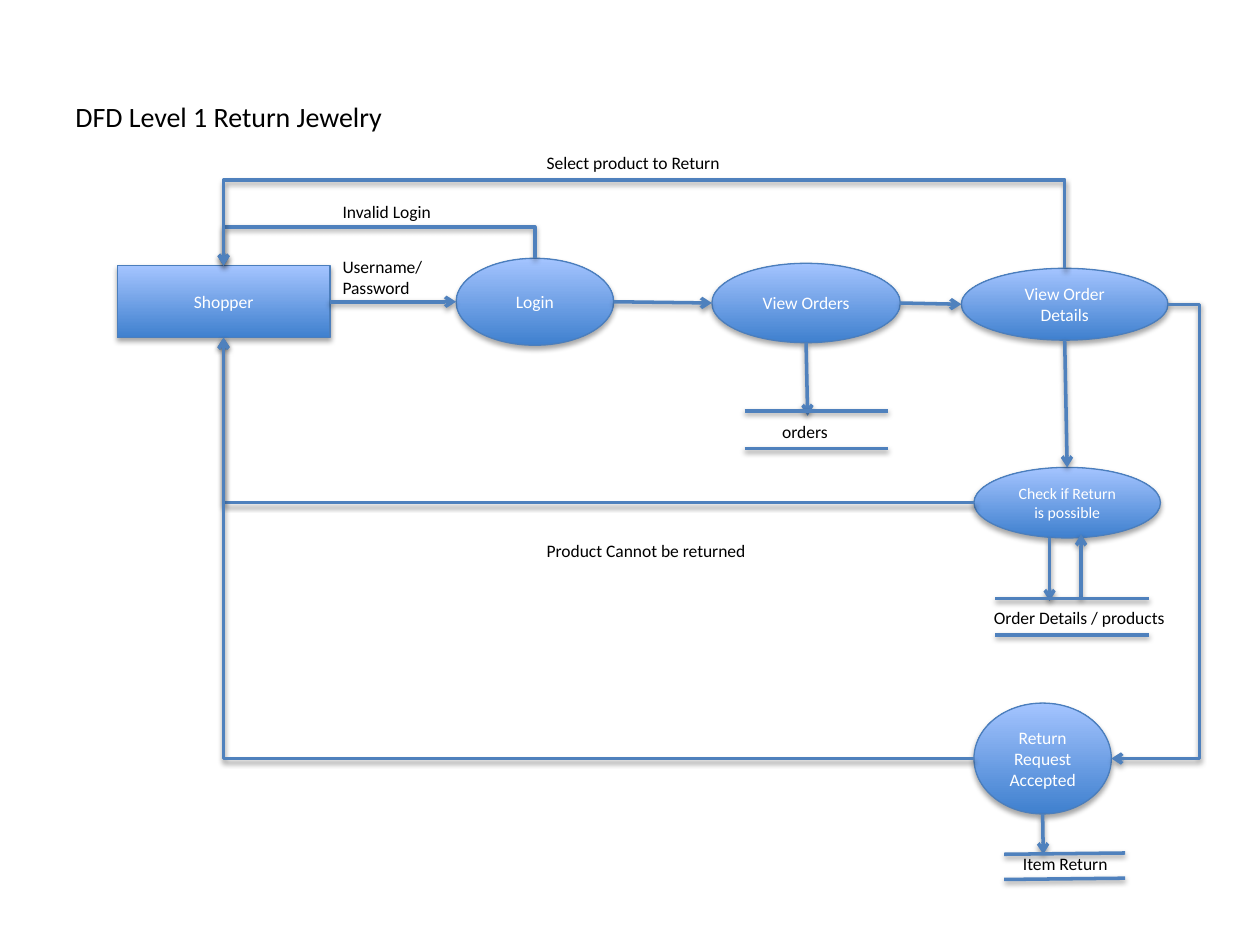
from dataclasses import dataclass
from typing import NamedTuple

from lxml import etree
from pptx import Presentation
from pptx import util as u
from pptx.dml.color import RGBColor
from pptx.enum import shapes, text
from pptx.oxml.ns import qn

COLUMNS, ROWS = 100, 75


@dataclass(frozen=True)
class Theme:
    font: str = "Calibri"
    ink: str = "000000"
    light: str = "FFFFFF"
    flow: str = "4F81BD"
    outline: str = "4B7EBC"
    gradient: tuple[str, str] = ("3F80CE", "A4C4FF")
    title_size: float = 16
    body_size: float = 10
    small_size: float = 9
    flow_width: float = 2
    outline_width: float = 0.75


class Point(NamedTuple):
    x: float
    y: float


@dataclass(frozen=True)
class Node:
    """A process or entity, in grid columns and rows."""
    label: str
    left: float
    top: float
    width: float
    height: float
    kind: shapes.MSO_SHAPE = shapes.MSO_SHAPE.OVAL
    size: float = Theme.body_size

    def at(self, across: float, down: float) -> Point:
        return Point(self.left + across * self.width, self.top + down * self.height)

    @property
    def north(self) -> Point:
        return self.at(0.5, 0)

    @property
    def west(self) -> Point:
        return self.at(0, 0.5)

    @property
    def south(self) -> Point:
        return self.at(0.5, 1)

    @property
    def east(self) -> Point:
        return self.at(1, 0.5)


class Store(NamedTuple):
    """A data store: two parallel rules; rise lifts their right ends."""
    left: float
    top: float
    width: float
    gap: float
    rise: float = 0


class Label(NamedTuple):
    words: str
    left: float
    top: float
    width: float
    height: float = 2.7


THEME = Theme()
SHOPPER = Node("Shopper", 9.3, 21.1, 16.9, 5.7, shapes.MSO_SHAPE.RECTANGLE)
LOGIN = Node("Login", 36.2, 20.5, 12.5, 6.9)
VIEW_ORDERS = Node("View Orders", 56.5, 20.9, 14.95, 6.3)
VIEW_DETAILS = Node("View Order Details", 76.3, 21.3, 16.4, 5.7)
CHECK = Node("Check if Return is possible", 77.3, 37.1, 14.8, 5.6, size=THEME.small_size)
ACCEPTED = Node("Return Request Accepted", 77.3, 55.8, 10.9, 8.8)
NODES = [SHOPPER, LOGIN, VIEW_ORDERS, VIEW_DETAILS, CHECK, ACCEPTED]

STORES = [
    Store(59.1, 32.6, 11.4, 3),
    Store(79, 47.5, 12.2, 2.9),
    Store(79.7, 67.8, 9.6, 2, rise=0.1),
]
LABELS = [
    Label("Username/\nPassword", 26.2, 19.8, 8.5, 4.4),
    Label("Invalid Login", 26.2, 15.5, 9.2),
    Label("orders", 61.1, 32.9, 5.7),
    Label("Select product to Return", 42.4, 11.6, 16),
    Label("Order Details / products", 77.9, 47.7, 15.8),
    Label("Product Cannot be returned", 42.4, 42.4, 18.1),
    Label("Item Return", 80.2, 67.2, 8.9),
]
ARROWS = [
    (LOGIN.east, VIEW_ORDERS.west),
    (VIEW_ORDERS.east, VIEW_DETAILS.west),
    (VIEW_ORDERS.south, Point(64.1, 33)),
    (VIEW_DETAILS.south, CHECK.north),
    (Point(83.3, 42.7), Point(83.3, 47.7)),
    (Point(85.8, 47.5), Point(85.8, 42.4)),
    (ACCEPTED.south, Point(82.8, 67.8)),
]

presentation = Presentation()
presentation.slide_width, presentation.slide_height = u.Inches(10), u.Inches(7.5)
slide = presentation.slides.add_slide(presentation.slide_layouts[6])


def col(count: float) -> u.Emu:
    return u.Emu(round(presentation.slide_width * count / COLUMNS))


def row(count: float) -> u.Emu:
    return u.Emu(round(presentation.slide_height * count / ROWS))


def write(shape, words: str, *, size: float = THEME.body_size, color: str = THEME.ink,
          align=text.PP_ALIGN.LEFT, anchor=text.MSO_ANCHOR.TOP, wrap: bool = True) -> None:
    frame = shape.text_frame
    frame.word_wrap, frame.vertical_anchor = wrap, anchor
    frame.text = words
    for paragraph in frame.paragraphs:
        paragraph.alignment = align
        font = paragraph.runs[0].font
        font.name, font.size = THEME.font, u.Pt(size)
        font.color.rgb = RGBColor.from_string(color)


def add_shadow(shape, distance: float, opacity: int) -> None:
    effects = etree.SubElement(shape.element.spPr, qn("a:effectLst"))
    shadow = etree.SubElement(effects, qn("a:outerShdw"), blurRad=str(u.Pt(3.1)),
                              dist=str(u.Pt(distance)), dir="5400000", rotWithShape="0")
    color = etree.SubElement(shadow, qn("a:srgbClr"), val=THEME.ink)
    etree.SubElement(color, qn("a:alpha"), val=str(opacity * 1000))


def set_line(shape, color: str, width: float) -> None:
    shape.line.color.rgb = RGBColor.from_string(color)
    shape.line.width = u.Pt(width)


def draw_node(node: Node):
    shape = slide.shapes.add_shape(node.kind, col(node.left), row(node.top),
                                   col(node.width), row(node.height))
    shape.fill.gradient()
    shape.fill.gradient_angle = 90
    for stop, color in zip(shape.fill.gradient_stops, THEME.gradient):
        stop.color.rgb = RGBColor.from_string(color)
    set_line(shape, THEME.outline, THEME.outline_width)
    add_shadow(shape, 1.8, 35)
    write(shape, node.label, size=node.size, color=THEME.light,
          align=text.PP_ALIGN.CENTER, anchor=text.MSO_ANCHOR.MIDDLE)
    return shape


def draw_flow(start: Point, end: Point, *, arrow: bool = True,
              kind=shapes.MSO_CONNECTOR.STRAIGHT):
    flow = slide.shapes.add_connector(kind, col(start.x), row(start.y), col(end.x), row(end.y))
    set_line(flow, THEME.flow, THEME.flow_width)
    if arrow:
        etree.SubElement(flow.element.spPr.find(qn("a:ln")), qn("a:tailEnd"), type="arrow")
    add_shadow(flow, 1.6, 38)
    return flow


def draw_corner(start: Point, end: Point) -> None:
    """Run level from start, then turn once towards end."""
    flow = draw_flow(start, end, kind=shapes.MSO_CONNECTOR.ELBOW)
    flow.element.spPr.find(qn("a:prstGeom")).set("prst", "bentConnector2")


def draw_detour(start: Point, end: Point, via: float, *, upright: bool = False) -> None:
    """Turn twice, passing along column via, or along row via when upright."""
    flow = draw_flow(start, end, kind=shapes.MSO_CONNECTOR.ELBOW)
    first, last = (start.y, end.y) if upright else (start.x, end.x)
    geometry = flow.element.spPr.find(qn("a:prstGeom"))
    guides = geometry.get_or_add_avLst()
    share = round((via - first) / (last - first) * 100000)
    etree.SubElement(guides, qn("a:gd"), name="adj1", fmla=f"val {share}")
    if upright:
        middle_x, middle_y = flow.left + flow.width // 2, flow.top + flow.height // 2
        flow.width, flow.height = flow.height, flow.width
        flow.left, flow.top = middle_x - flow.width // 2, middle_y - flow.height // 2
        frame = flow.element.spPr.find(qn("a:xfrm"))
        frame.set("rot", "16200000")
        frame.set("flipH", str(int(end.y > start.y)))
        frame.set("flipV", str(int(end.x < start.x)))


def draw_store(store: Store) -> None:
    for y in (store.top, store.top + store.gap):
        draw_flow(Point(store.left, y), Point(store.left + store.width, y - store.rise), arrow=False)


def draw_label(label: Label) -> None:
    box = slide.shapes.add_textbox(col(label.left), row(label.top), col(label.width), row(label.height))
    write(box, label.words, wrap=False)


title = slide.shapes.add_textbox(col(5), row(3), col(90), row(12.5))
write(title, "DFD Level 1 Return Jewelry", size=THEME.title_size, anchor=text.MSO_ANCHOR.MIDDLE)
drawn = {node.label: draw_node(node) for node in NODES}
draw_flow(SHOPPER.east, LOGIN.west).begin_connect(drawn[SHOPPER.label], 3)
for origin, target in ARROWS:
    draw_flow(origin, target)
draw_detour(LOGIN.north, SHOPPER.north, 18, upright=True)
draw_detour(VIEW_DETAILS.north, SHOPPER.north, 14.3, upright=True)
draw_detour(VIEW_DETAILS.east, ACCEPTED.east, 95.2)
for process in (CHECK, ACCEPTED):
    draw_corner(process.west, SHOPPER.south)
for data_store in STORES:
    draw_store(data_store)
for caption in LABELS:
    draw_label(caption)
presentation.save("out.pptx")
